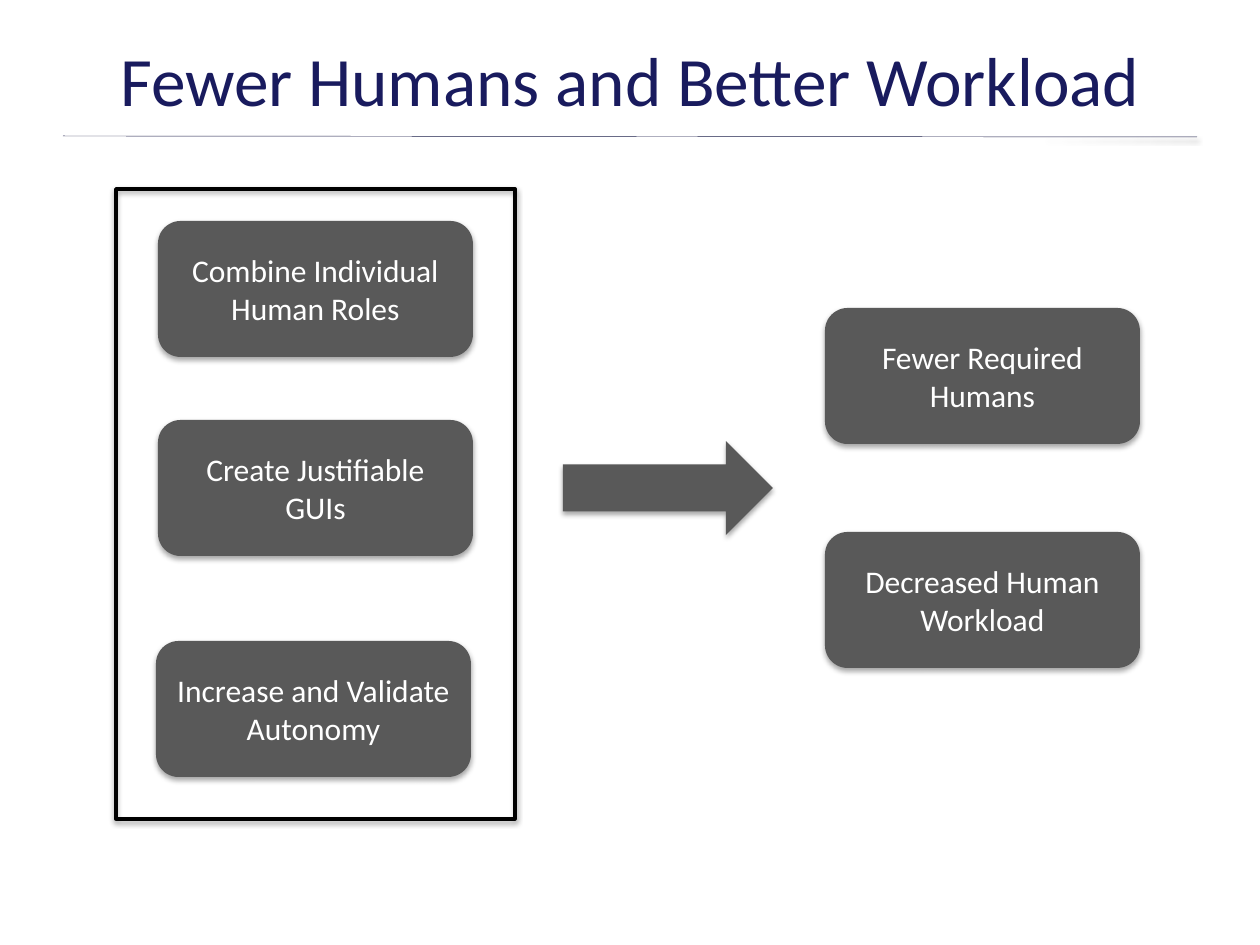
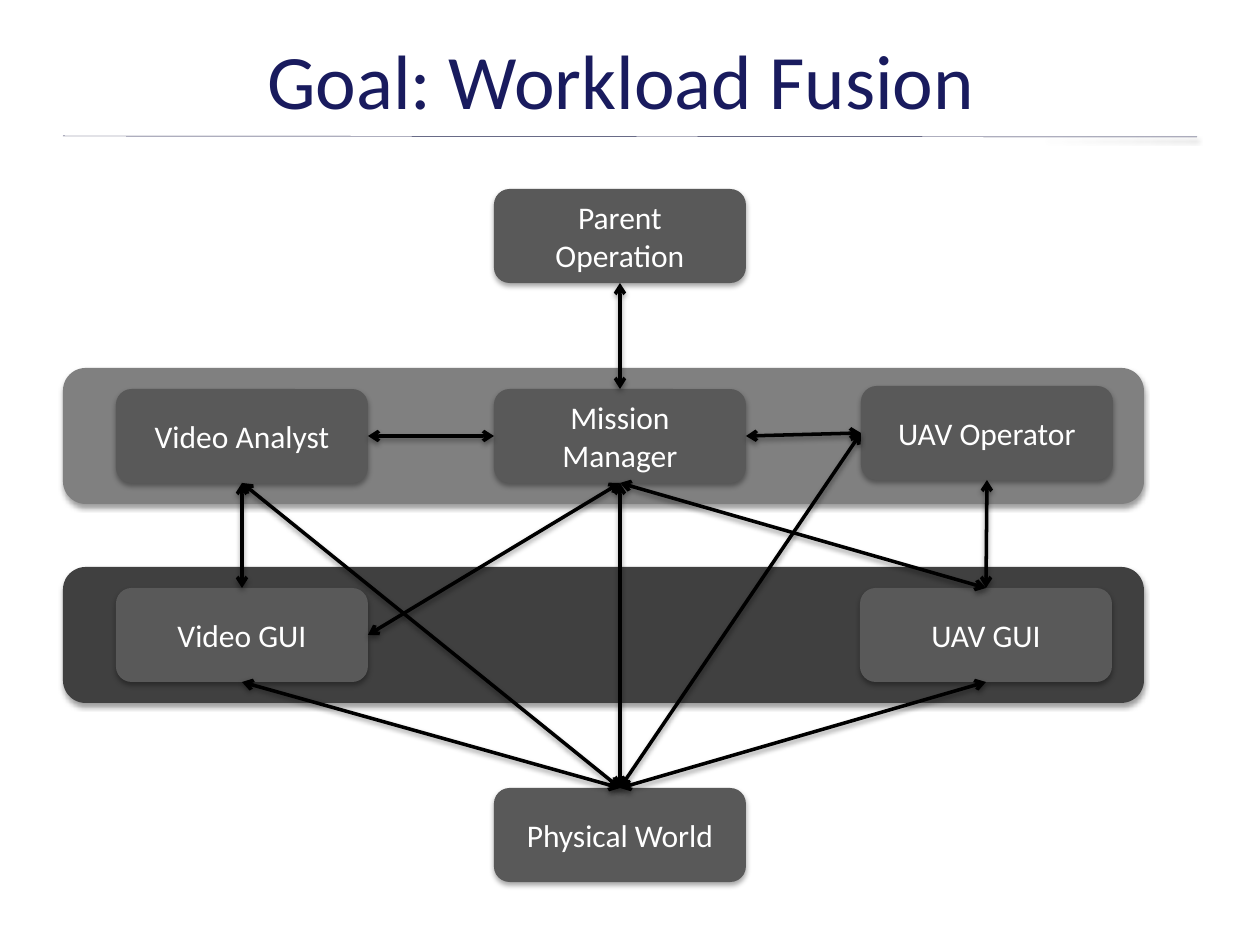
from dataclasses import dataclass

from lxml import etree
from pptx import Presentation
from pptx.dml.color import RGBColor
from pptx.enum.shapes import MSO_CONNECTOR, MSO_SHAPE
from pptx.enum.text import MSO_ANCHOR, PP_ALIGN
from pptx.oxml.ns import qn
from pptx.util import Emu, Pt

RECT, ROUND, ARROW = MSO_SHAPE.RECTANGLE, MSO_SHAPE.ROUNDED_RECTANGLE, MSO_SHAPE.RIGHT_ARROW
STRAIGHT = MSO_CONNECTOR.STRAIGHT
CENTER, MIDDLE = PP_ALIGN.CENTER, MSO_ANCHOR.MIDDLE
TOP, LEFT, BOTTOM, RIGHT = range(4)
PX_PER_INCH = 126


@dataclass(frozen=True)
class Theme:
    """Colours, font, type sizes and line widths of the deck."""
    font: str = "Calibri"
    title: str = "191B5E"
    rule: str = "1A1C47"
    box: str = "595959"
    people_band: str = "808080"
    gui_band: str = "404040"
    ink: str = "000000"
    paper: str = "FFFFFF"
    title_pt: float = 44
    long_title_pt: float = 39.6
    body_pt: float = 18
    line_pt: float = 2
    rule_pt: float = 0.25


T = Theme()


def px(n):
    """Turn pixels into EMU."""
    return Emu(round(n * 914400 / PX_PER_INCH))


def rgb(color):
    """Turn a hex string into a colour."""
    return RGBColor.from_string(color)


def add_shadow(shape, alpha=35, dist=1.8):
    """Give a shape or connector a soft shadow straight below it."""
    spPr = shape.element.spPr
    effects = spPr.find(qn("a:effectLst"))
    if effects is None:
        effects = etree.SubElement(spPr, qn("a:effectLst"))
    outer = etree.SubElement(effects, qn("a:outerShdw"), blurRad=str(Pt(3.1)),
                             dist=str(Pt(dist)), dir="5400000", rotWithShape="0")
    clr = etree.SubElement(outer, qn("a:srgbClr"), val=T.ink)
    etree.SubElement(clr, qn("a:alpha"), val=str(alpha * 1000))


def write(tf, text, size=T.body_pt, color=T.paper):
    """Write one centred paragraph into a text frame."""
    tf.word_wrap = True
    tf.vertical_anchor = MIDDLE
    p = tf.paragraphs[0]
    p.alignment = CENTER
    r = p.add_run()
    r.text = text
    r.font.name = T.font
    r.font.size = Pt(size)
    r.font.color.rgb = rgb(color)


def add_box(s, kind, box, fill=T.box, line=None, text=None, **shadow):
    """Add a shadowed preset shape, filled or outlined, with optional text."""
    sp = s.shapes.add_shape(kind, *map(px, box))
    sp.shadow.inherit = False
    add_shadow(sp, **shadow)
    if fill:
        sp.fill.solid()
        sp.fill.fore_color.rgb = rgb(fill)
    else:
        sp.fill.background()
    if line:
        sp.line.color.rgb = rgb(line)
        sp.line.width = Pt(T.line_pt)
    else:
        sp.line.fill.background()
    if text:
        write(sp.text_frame, text)
    return sp


def add_line(s, ends, color=T.ink, width=T.line_pt):
    """Add a shadowed straight line between two points."""
    cx = s.shapes.add_connector(STRAIGHT, *map(px, ends))
    cx.line.color.rgb = rgb(color)
    cx.line.width = Pt(width)
    add_shadow(cx, alpha=38, dist=1.6)
    return cx


def link(s, start, start_side, end, end_side):
    """Join two shapes with a double-headed arrow."""
    cx = add_line(s, (0, 0, 0, 0))
    cx.begin_connect(start, start_side)
    cx.end_connect(end, end_side)
    ln = cx.element.spPr.find(qn("a:ln"))
    for tag in ("a:headEnd", "a:tailEnd"):
        etree.SubElement(ln, qn(tag), type="arrow")


def add_title(s, box, text, size=T.title_pt):
    """Add the slide title with the thin rule under it."""
    x, y, w, h = box
    add_line(s, (x, y + h - 1, x + w, y + h), T.rule, T.rule_pt)
    tb = s.shapes.add_textbox(*map(px, box))
    write(tb.text_frame, text, size, T.title)


def add_stack(s, box, items):
    """Stack equal boxes in a region from (text, left, top) offsets."""
    x, y, w, h = box
    for text, dx, dy in items:
        add_box(s, ROUND, (x + dx, y + dy, w, h), text=text)


def outcomes_slide(s, box):
    """Show three measures leading to two outcomes."""
    x, y = box
    add_box(s, RECT, (x, y, 399, 630), fill=None, line=T.ink, alpha=38, dist=1.6)
    add_stack(s, (x + 42, y + 32, 315, 136), [
        ("Combine Individual Human Roles", 0, 0),
        ("Create Justifiable GUIs", 0, 199),
        ("Increase and Validate Autonomy", -2, 420)])
    add_box(s, ARROW, (x + 447, y + 252, 210, 94))
    add_stack(s, (x + 709, y + 119, 315, 136), [
        ("Fewer Required Humans", 0, 0),
        ("Decreased Human Workload", 0, 224)])


def fusion_slide(s, box):
    """Show who and what exchanges information in the operation."""
    x, y = box
    for dy, fill in ((378, T.gui_band), (179, T.people_band)):
        add_box(s, ROUND, (x, y + dy, 1081, 136), fill=fill, alpha=38, dist=1.6)

    def node(text, dx, dy):
        """Add one participant at an offset in the diagram."""
        return add_box(s, ROUND, (x + dx, y + dy, 252, 94), text=text)

    left, middle, right = 53, 431, 797
    parent = node("Parent Operation", middle, 0)
    analyst = node("Video Analyst", left, 200)
    manager = node("Mission Manager", middle, 200)
    operator = node("UAV Operator", right + 1, 197)
    video_gui = node("Video GUI", left, 399)
    uav_gui = node("UAV GUI", right, 399)
    world = node("Physical World", middle, 599)
    for ends in (
            (parent, BOTTOM, manager, TOP),
            (manager, BOTTOM, world, TOP),
            (operator, LEFT, manager, RIGHT),
            (manager, LEFT, analyst, RIGHT),
            (uav_gui, TOP, manager, BOTTOM),
            (video_gui, RIGHT, manager, BOTTOM),
            (uav_gui, TOP, operator, BOTTOM),
            (world, TOP, operator, LEFT),
            (video_gui, TOP, analyst, BOTTOM),
            (video_gui, BOTTOM, world, TOP),
            (world, TOP, uav_gui, BOTTOM),
            (world, TOP, analyst, BOTTOM)):
        link(s, *ends)


def main():
    """Build and save the deck."""
    prs = Presentation()
    prs.slide_width, prs.slide_height = px(1260), px(945)
    for title, size, build, origin in (
            ("Fewer Humans and Better Workload", T.long_title_pt, outcomes_slide, (116, 189)),
            ("Goal: Workload Fusion ", T.title_pt, fusion_slide, (63, 189))):
        s = prs.slides.add_slide(prs.slide_layouts[6])
        add_title(s, (63, 21, 1134, 116), title, size)
        build(s, origin)
    prs.save("out.pptx")


if __name__ == "__main__":
    main()
